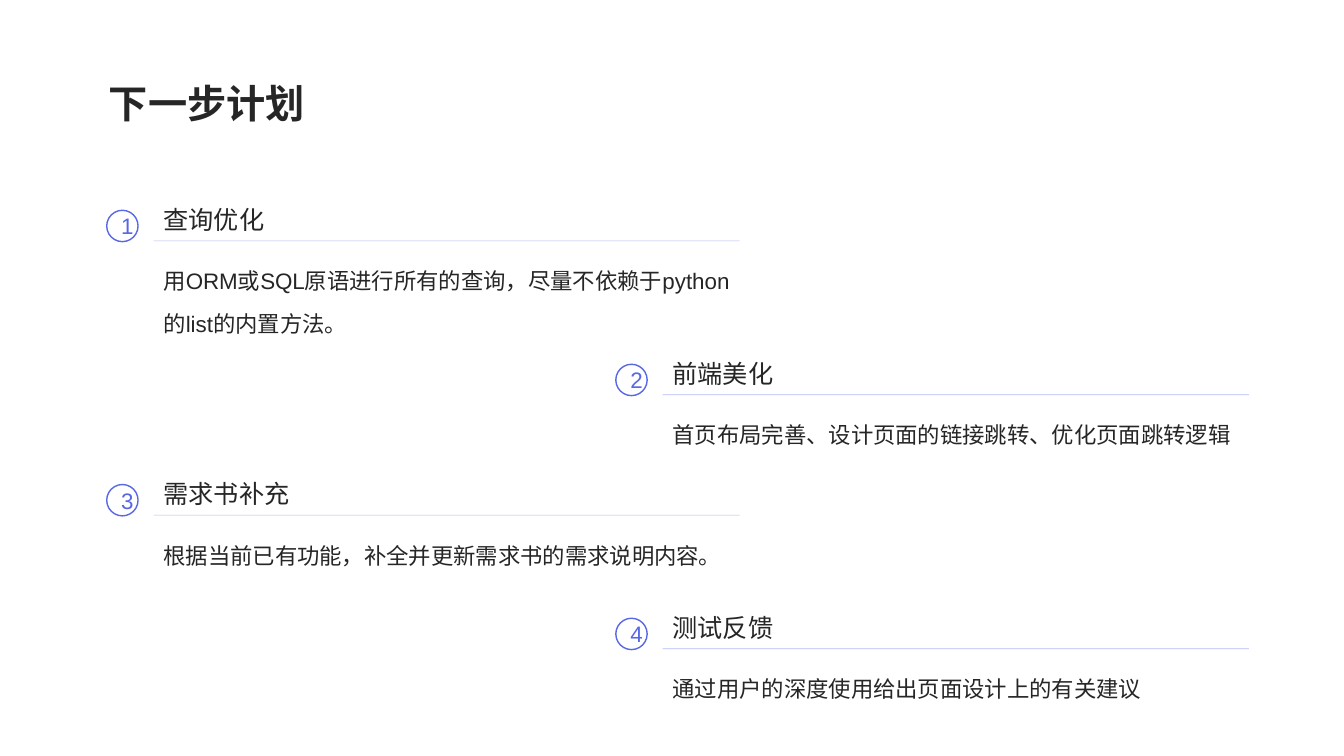
"""Build the next-steps slide: four numbered plans staggered in two columns."""
from dataclasses import dataclass

import pptx
import pptx.dml.color
import pptx.enum.shapes
import pptx.enum.text
import pptx.oxml
import pptx.oxml.ns
import pptx.util
from pptx.util import Cm

TITLE = "下一步计划"
PLANS = [
    {"rule_y": 6.07, "body_height": 2.49, "heading": "查询优化",
     "body": "用ORM或SQL原语进行所有的查询，尽量不依赖于python的list的内置方法。"},
    {"rule_y": 9.95, "body_height": 1.5, "heading": "前端美化",
     "body": "首页布局完善、设计页面的链接跳转、优化页面跳转逻辑"},
    {"rule_y": 12.98, "body_height": 1.5, "heading": "需求书补充",
     "body": "根据当前已有功能，补全并更新需求书的需求说明内容。"},
    {"rule_y": 16.35, "body_height": 1.5, "heading": "测试反馈",
     "body": "通过用户的深度使用给出页面设计上的有关建议"},
]
COLUMN_LEFTS = (3.87, 16.7)
COLUMN_WIDTH = 14.77
HEADING_HEIGHT = 1.14
HEADING_RISE = 1.12
BODY_DROP = 0.14
BADGE_SIZE = 0.79
BADGE_OFFSET = 1.18
BADGE_RISE = 0.77


@dataclass(frozen=True)
class Theme:
    font: str = "Arial"
    ink: str = "262626"
    accent: str = "5867E4"
    title_size: int = 28
    heading_size: int = 18
    body_size: int = 16
    rule_opacity: int = 44


THEME = Theme()


def rgb(value):
    return pptx.dml.color.RGBColor.from_string(value)


def write(box, text, size, color, spacing=1.0, bold=False,
          align=pptx.enum.text.PP_ALIGN.LEFT,
          anchor=pptx.enum.text.MSO_ANCHOR.TOP):
    frame = box.text_frame
    frame.word_wrap = True
    frame.auto_size = pptx.enum.text.MSO_AUTO_SIZE.NONE
    frame.vertical_anchor = anchor
    para = frame.paragraphs[0]
    para.alignment = align
    para.line_spacing = spacing
    para.space_before = pptx.util.Pt(0)
    span = para.add_run()
    span.text = text
    span.font.name = THEME.font
    span.font.size = pptx.util.Pt(size)
    span.font.bold = bold
    span.font.color.rgb = rgb(color)
    east_asian = pptx.oxml.parse_xml(
        f'<a:ea {pptx.oxml.ns.nsdecls("a")} typeface="{THEME.font}"/>')
    span.font._element.append(east_asian)


def add_rule(page, left, y):
    rule = page.shapes.add_connector(
        pptx.enum.shapes.MSO_CONNECTOR.STRAIGHT,
        Cm(left), Cm(y), Cm(left + COLUMN_WIDTH), Cm(y))
    rule.line.width = pptx.util.Pt(0.5)
    rule.line.color.rgb = rgb(THEME.accent)
    properties = rule._element.spPr
    color = properties.find(".//" + pptx.oxml.ns.qn("a:srgbClr"))
    color.append(pptx.oxml.parse_xml(
        f'<a:alpha {pptx.oxml.ns.nsdecls("a")} val="{THEME.rule_opacity * 1000}"/>'))
    properties.append(pptx.oxml.parse_xml(
        f'<a:effectLst {pptx.oxml.ns.nsdecls("a")}/>'))


def add_badge(page, left, top, number):
    badge = page.shapes.add_shape(
        pptx.enum.shapes.MSO_SHAPE.OVAL,
        Cm(left), Cm(top), Cm(BADGE_SIZE), Cm(BADGE_SIZE))
    badge.shadow.inherit = False
    badge.fill.background()
    badge.line.color.rgb = rgb(THEME.accent)
    badge.line.width = pptx.util.Pt(1)
    write(badge, str(number), THEME.body_size, THEME.accent,
          align=pptx.enum.text.PP_ALIGN.CENTER,
          anchor=pptx.enum.text.MSO_ANCHOR.MIDDLE)


def add_plan(page, number, plan):
    left = COLUMN_LEFTS[(number - 1) % len(COLUMN_LEFTS)]
    rule_y = plan["rule_y"]
    add_rule(page, left, rule_y)
    heading = page.shapes.add_textbox(
        Cm(left), Cm(rule_y - HEADING_RISE), Cm(COLUMN_WIDTH), Cm(HEADING_HEIGHT))
    write(heading, plan["heading"], THEME.heading_size, THEME.ink, 1.1)
    body = page.shapes.add_textbox(
        Cm(left), Cm(rule_y + BODY_DROP), Cm(COLUMN_WIDTH), Cm(plan["body_height"]))
    write(body, plan["body"], THEME.body_size, THEME.ink, 1.6)
    add_badge(page, left - BADGE_OFFSET, rule_y - BADGE_RISE, number)


def main():
    deck = pptx.Presentation()
    deck.slide_width, deck.slide_height = Cm(33.87), Cm(19.05)
    page = deck.slides.add_slide(deck.slide_layouts[5])
    title = page.shapes.title
    title.left, title.top = Cm(2.49), Cm(1.63)
    title.width, title.height = Cm(28.98), Cm(2.21)
    write(title, TITLE, THEME.title_size, THEME.ink, 1.2, bold=True)
    for number, plan in enumerate(PLANS, start=1):
        add_plan(page, number, plan)
    deck.save("out.pptx")


if __name__ == "__main__":
    main()
